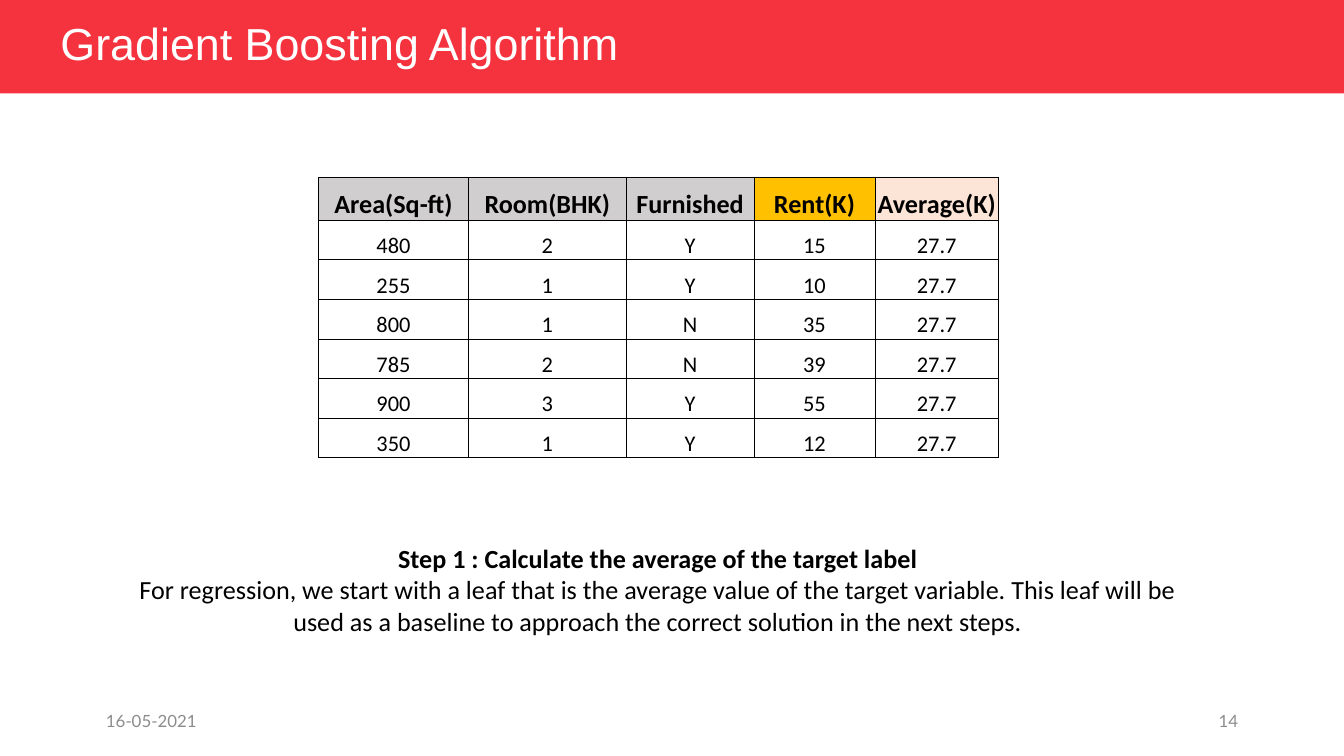
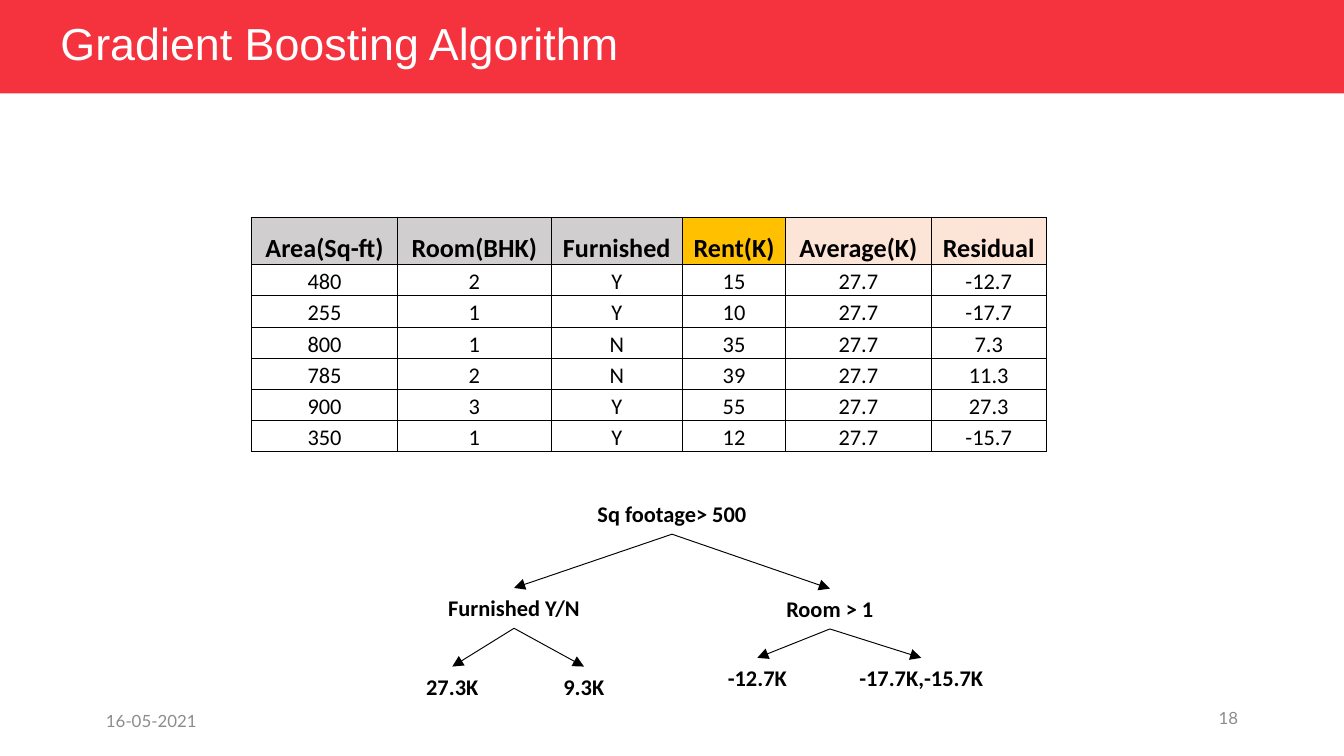
"""Build two slides that explain the gradient boosting algorithm."""
from lxml.etree import SubElement
from pptx import Presentation
from pptx.dml.color import RGBColor
from pptx.enum.shapes import MSO_CONNECTOR, MSO_SHAPE
from pptx.enum.text import MSO_ANCHOR, MSO_AUTO_SIZE, PP_ALIGN
from pptx.oxml.ns import qn
from pptx.util import Pt

PX = 4572
RED = RGBColor(0xF5, 0x33, 0x3F)
WHITE = RGBColor(0xFF, 0xFF, 0xFF)
BLACK = RGBColor(0x00, 0x00, 0x00)
FOOTER_GREY = RGBColor(0x8C, 0x8C, 0x8C)
FEATURE_GREY = RGBColor(0xD0, 0xCE, 0xCE)
TARGET_GOLD = RGBColor(0xFF, 0xC0, 0x00)
DERIVED_PEACH = RGBColor(0xFC, 0xE4, 0xD6)

HEADERS = [
    ("Area(Sq-ft)", FEATURE_GREY),
    ("Room(BHK)", FEATURE_GREY),
    ("Furnished", FEATURE_GREY),
    ("Rent(K)", TARGET_GOLD),
    ("Average(K)", DERIVED_PEACH),
    ("Residual", DERIVED_PEACH),
]
HOMES = [
    ("480", "2", "Y", "15", "27.7", "-12.7"),
    ("255", "1", "Y", "10", "27.7", "-17.7"),
    ("800", "1", "N", "35", "27.7", "7.3"),
    ("785", "2", "N", "39", "27.7", "11.3"),
    ("900", "3", "Y", "55", "27.7", "27.3"),
    ("350", "1", "Y", "12", "27.7", "-15.7"),
]
PAGES = [
    {"number": "14", "number_top": 1043, "left": 474, "top": 264, "height": 417,
     "header": 64, "columns": [223, 235, 190, 180, 184]},
    {"number": "18", "number_top": 1038, "left": 374, "top": 324, "height": 348,
     "header": 70, "columns": [218, 228, 196, 153, 217, 171]},
]
TREE_NODES = [
    ("Sq footage> 500", 804, 735, 392, None),
    ("Furnished Y/N", 569, 875, 392, "Sq footage> 500"),
    ("Room > 1", 1039, 876, 392, "Sq footage> 500"),
    ("27.3K", 594, 992, 158, "Furnished Y/N"),
    ("9.3K", 752, 992, 234, "Furnished Y/N"),
    ("-12.7K", 1048, 979, 158, "Room > 1"),
    ("-17.7K,-15.7K", 1254, 979, 234, "Room > 1"),
]


def write_run(paragraph, text, font, size, color, bold=False, align=PP_ALIGN.CENTER):
    paragraph.alignment = align
    run = paragraph.add_run()
    run.text = text
    run.font.name = font
    run.font.size = Pt(size)
    run.font.bold = bold
    run.font.color.rgb = color


def add_box(slide, left, top, width, height, anchor=MSO_ANCHOR.TOP):
    box = slide.shapes.add_textbox(left * PX, top * PX, width * PX, height * PX)
    box.text_frame.word_wrap = True
    box.text_frame.vertical_anchor = anchor
    if anchor == MSO_ANCHOR.TOP:
        box.text_frame.auto_size = MSO_AUTO_SIZE.SHAPE_TO_FIT_TEXT
    return box


presentation = Presentation()
presentation.slide_width = 2000 * PX
presentation.slide_height = 1125 * PX
slides = []

for page in PAGES:
    slide = presentation.slides.add_slide(presentation.slide_layouts[5])
    slides.append(slide)

    band = slide.shapes.add_shape(MSO_SHAPE.RECTANGLE, 0, 0, 2000 * PX, 139 * PX)
    band.shadow.inherit = False
    band.fill.solid()
    band.fill.fore_color.rgb = RED
    band.line.fill.background()
    slide.shapes.element.insert(2, band.element)

    title = slide.shapes.title
    title.left, title.top, title.width, title.height = 70 * PX, 26 * PX, 1442 * PX, 84 * PX
    title.text_frame.auto_size = MSO_AUTO_SIZE.NONE
    title.text_frame.vertical_anchor = MSO_ANCHOR.MIDDLE
    title_paragraph = title.text_frame.paragraphs[0]
    title_paragraph.line_spacing = 0.9
    write_run(title_paragraph, "Gradient Boosting Algorithm", "Arial", 24, WHITE,
              align=PP_ALIGN.LEFT)

    for text, left, top, align in [
        ("16-05-2021", 138, 1043, PP_ALIGN.LEFT),
        (page["number"], 1412, page["number_top"], PP_ALIGN.RIGHT),
    ]:
        footer = add_box(slide, left, top, 450, 60, MSO_ANCHOR.MIDDLE)
        write_run(footer.text_frame.paragraphs[0], text, "Lato", 9, FOOTER_GREY, align=align)

    columns = page["columns"]
    table = slide.shapes.add_table(
        len(HOMES) + 1, len(columns), page["left"] * PX, page["top"] * PX,
        sum(columns) * PX, page["height"] * PX).table
    table.first_row = False
    table.horz_banding = False
    for column, width in zip(table.columns, columns):
        column.width = width * PX
    for row in table.rows:
        row.height = (page["height"] - page["header"]) * PX // len(HOMES)
    table.rows[0].height = page["header"] * PX

    rows = [[name for name, color in HEADERS], *HOMES]
    for row_index, values in enumerate(rows):
        for column_index, value in enumerate(values[:len(columns)]):
            cell = table.cell(row_index, column_index)
            cell.margin_left = cell.margin_right = cell.margin_top = 2 * PX
            cell.margin_bottom = 0
            cell.vertical_anchor = MSO_ANCHOR.BOTTOM
            properties = cell._tc.get_or_add_tcPr()
            for side in ("a:lnL", "a:lnR", "a:lnT", "a:lnB"):
                border = SubElement(properties, qn(side), w=str(Pt(0.5)))
                border_fill = SubElement(border, qn("a:solidFill"))
                SubElement(border_fill, qn("a:srgbClr"), val=str(BLACK))
            is_header = row_index == 0
            if is_header:
                cell.fill.solid()
                cell.fill.fore_color.rgb = HEADERS[column_index][1]
            else:
                cell.fill.background()
            write_run(cell.text_frame.paragraphs[0], value, "Calibri",
                      14 if is_header else 12, BLACK, is_header)

average_slide, tree_slide = slides

step = add_box(average_slide, 168, 797, 1622, 162)
write_run(step.text_frame.paragraphs[0], "Step 1 : Calculate the average of the target label",
          "Calibri", 14, BLACK, True)
write_run(step.text_frame.add_paragraph(),
          "For regression, we start with a leaf that is the average value of the target "
          "variable. This leaf will be used as a baseline to approach the correct solution "
          "in the next steps.", "Calibri", 14, BLACK)

nodes = {}
for text, left, top, width, parent in TREE_NODES:
    node = add_box(tree_slide, left, top, width, 60)
    write_run(node.text_frame.paragraphs[0], text, "Calibri", 12, BLACK, True)
    nodes[text] = node
    if parent:
        branch = tree_slide.shapes.add_connector(MSO_CONNECTOR.STRAIGHT, 0, 0, 0, 0)
        branch.begin_connect(nodes[parent], 2)
        branch.end_connect(node, 0)
        branch.line.color.rgb = BLACK
        branch.line.width = Pt(0.5)
        branch_properties = branch.element.spPr
        SubElement(branch_properties.find(qn("a:ln")), qn("a:tailEnd"), type="triangle")
        SubElement(branch_properties, qn("a:effectLst"))

presentation.save("out.pptx")
